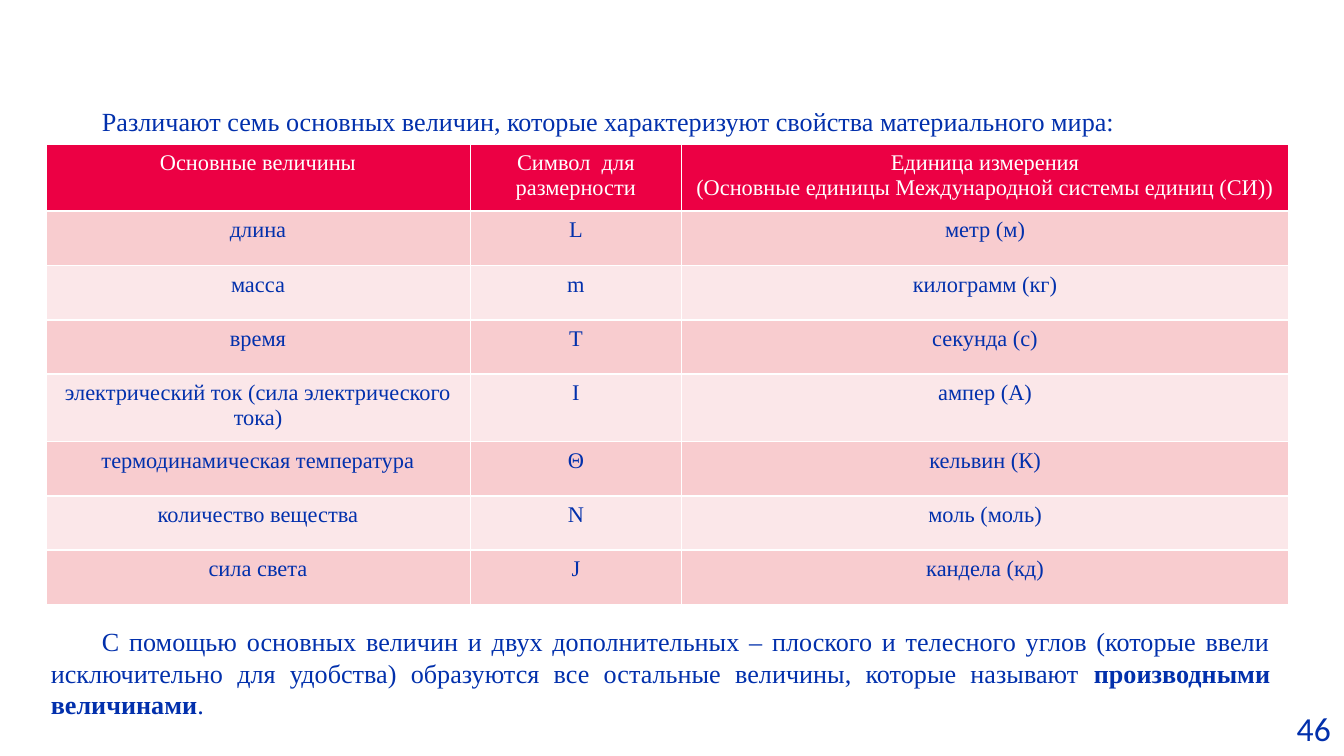
from lxml import etree
from pptx import Presentation
from pptx import util as u
from pptx.dml.color import RGBColor
from pptx.enum import shapes, text
from pptx.oxml.ns import qn

BLUE = RGBColor(0x02, 0x30, 0xAC)
WHITE = RGBColor(0xFF, 0xFF, 0xFF)
CRIMSON = RGBColor(0xEC, 0x00, 0x44)
PINK = RGBColor(0xF8, 0xCC, 0xCF)
PALE_PINK = RGBColor(0xFB, 0xE7, 0xE9)
SERIF = "Times New Roman"

COLUMN_WIDTHS = (3.16, 1.57, 4.52)
QUANTITIES = (
    ("Основные величины", "Символ  для размерности",
     "Единица измерения\n(Основные единицы Международной системы единиц (СИ))"),
    ("длина", "L", "метр (м)"),
    ("масса", "m", "килограмм (кг)"),
    ("время", "T", "секунда (с)"),
    ("электрический ток (сила электрического тока)", "I", "ампер (А)"),
    ("термодинамическая температура", "Θ", "кельвин (К)"),
    ("количество вещества", "N", "моль (моль)"),
    ("сила света", "J", "кандела (кд)"),
)


def add_run(paragraph, content, size, color, font=SERIF, bold=False):
    run = paragraph.add_run()
    run.text = content
    run.font.name = font
    run.font.size = u.Pt(size)
    run.font.bold = bold
    run.font.color.rgb = color


def add_statement(slide, left, top, width, height, runs):
    shape = slide.shapes.add_shape(
        shapes.MSO_SHAPE.RECTANGLE,
        u.Inches(left), u.Inches(top), u.Inches(width), u.Inches(height))
    shape.shadow.inherit = False
    shape.fill.solid()
    shape.fill.fore_color.rgb = WHITE
    shape.line.fill.background()
    frame = shape.text_frame
    frame.word_wrap = True
    frame.vertical_anchor = text.MSO_ANCHOR.MIDDLE
    paragraph = frame.paragraphs[0]
    paragraph.alignment = text.PP_ALIGN.JUSTIFY
    paragraph.space_before = u.Pt(6)
    paragraph._p.get_or_add_pPr().set("indent", str(u.Inches(0.38)))
    for content, bold in runs:
        add_run(paragraph, content, 14, BLUE, bold=bold)


def set_borders(cell):
    properties = cell._tc.get_or_add_tcPr()
    for position, tag in enumerate(("a:lnL", "a:lnR", "a:lnT", "a:lnB")):
        line = etree.Element(qn(tag), w=str(u.Pt(1)))
        fill = etree.SubElement(line, qn("a:solidFill"))
        etree.SubElement(fill, qn("a:srgbClr"), val=str(WHITE))
        properties.insert(position, line)


def fill_cell(cell, content, fill, color):
    cell.fill.solid()
    cell.fill.fore_color.rgb = fill
    set_borders(cell)
    frame = cell.text_frame
    for index, line in enumerate(content.split("\n")):
        paragraph = frame.add_paragraph() if index else frame.paragraphs[0]
        paragraph.alignment = text.PP_ALIGN.CENTER
        add_run(paragraph, line, 12, color)


def add_quantity_table(slide):
    table = slide.shapes.add_table(
        len(QUANTITIES), len(COLUMN_WIDTHS), u.Inches(0.34), u.Inches(1.07),
        u.Inches(sum(COLUMN_WIDTHS)), u.Inches(3.24)).table
    for column, width in zip(table.columns, COLUMN_WIDTHS):
        column.width = u.Inches(width)
    for row_index, row in enumerate(QUANTITIES):
        is_header = row_index == 0
        band = PINK if row_index % 2 else PALE_PINK
        for column_index, content in enumerate(row):
            fill_cell(table.cell(row_index, column_index), content,
                      CRIMSON if is_header else band,
                      WHITE if is_header else BLUE)


def add_page_number(slide, number):
    box = slide.shapes.add_textbox(
        u.Inches(9.55), u.Inches(5.22), u.Inches(0.59), u.Inches(0.4))
    box.text_frame.word_wrap = True
    add_run(box.text_frame.paragraphs[0], number, 18, BLUE, font="Calibri")


def main():
    presentation = Presentation()
    presentation.slide_width = u.Inches(10)
    presentation.slide_height = presentation.slide_width * 9 // 16
    slide = presentation.slides.add_slide(presentation.slide_layouts[6])
    add_page_number(slide, "46")
    add_statement(slide, 0.28, 0.73, 9.18, 0.34, [
        ("Различают семь основных величин, которые характеризуют "
         "свойства материального мира:", False)])
    add_quantity_table(slide)
    add_statement(slide, 0.28, 4.6, 9.27, 0.81, [
        ("С помощью основных величин и двух дополнительных – плоского и "
         "телесного углов (которые ввели исключительно для удобства) образуются "
         "все остальные величины, которые называют ", False),
        ("производными величинами", True),
        (".", False)])
    presentation.save("out.pptx")


if __name__ == "__main__":
    main()
